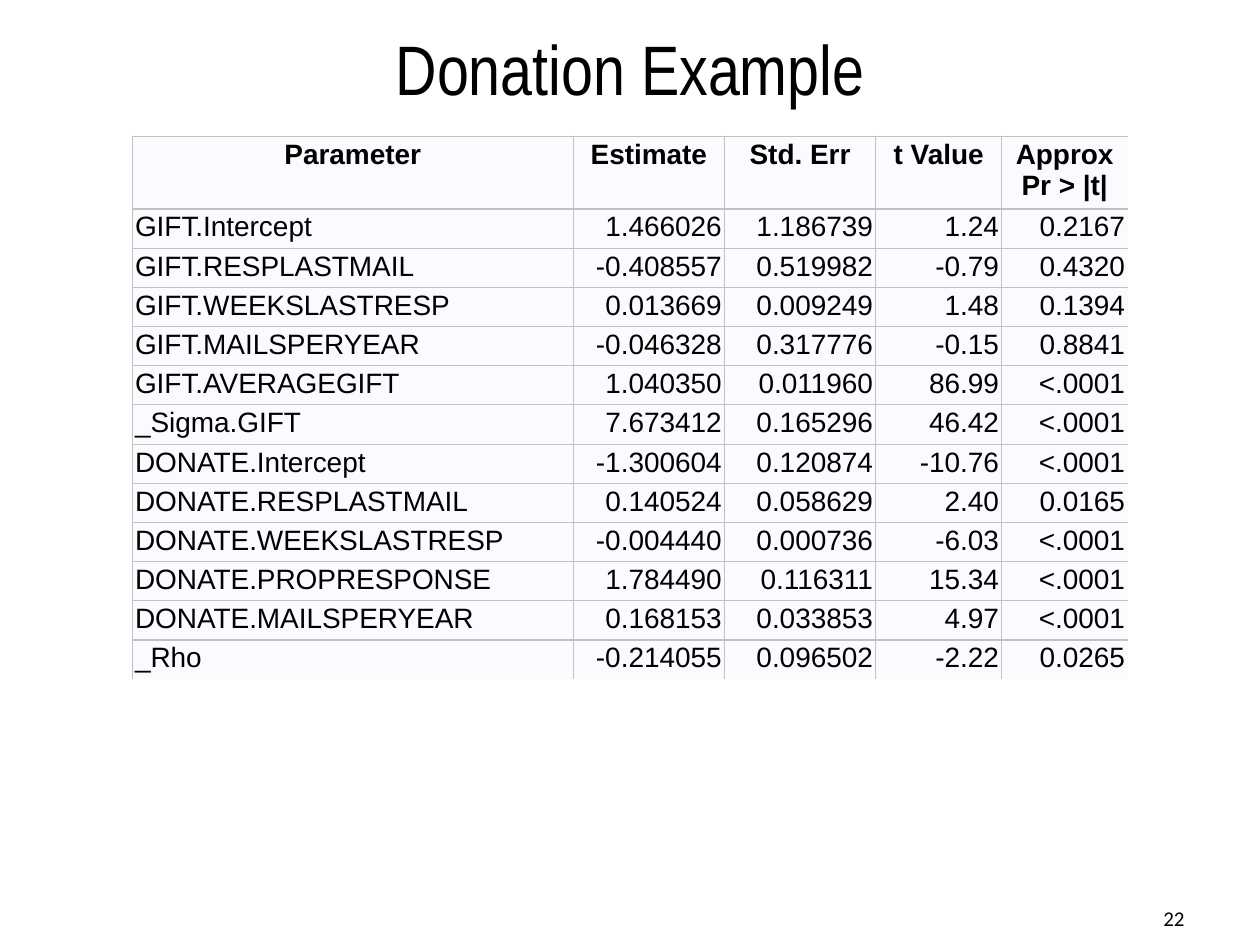
from dataclasses import dataclass

from lxml.etree import SubElement
from pptx import Presentation
from pptx.dml.color import RGBColor
from pptx.enum.text import MSO_ANCHOR, PP_ALIGN
from pptx.oxml.ns import qn
from pptx.util import Pt


@dataclass(frozen=True)
class Theme:
    ink: str = "000000"
    cell: str = "FAFBFE"
    rule: str = "C1C1C1"
    rule_width: float = 0.75
    title_font: str = "Arial Narrow"
    table_font: str = "Arial"
    number_font: str = "Calibri"
    title_size: int = 40
    table_size: int = 16
    number_size: int = 12


THEME = Theme()
INSET = 1.6
HEADER_HEIGHT = 39.4
ROW_HEIGHT = 21.6
COLUMN_WIDTHS = (252, 86.4, 86.4, 72, 72)
HEADINGS = ("Parameter", "Estimate", "Std. Err", "t Value", "Approx\nPr > |t|")
ESTIMATES = (
    ("GIFT.Intercept", "1.466026", "1.186739", "1.24", "0.2167"),
    ("GIFT.RESPLASTMAIL", "-0.408557", "0.519982", "-0.79", "0.4320"),
    ("GIFT.WEEKSLASTRESP", "0.013669", "0.009249", "1.48", "0.1394"),
    ("GIFT.MAILSPERYEAR", "-0.046328", "0.317776", "-0.15", "0.8841"),
    ("GIFT.AVERAGEGIFT", "1.040350", "0.011960", "86.99", "<.0001"),
    ("_Sigma.GIFT", "7.673412", "0.165296", "46.42", "<.0001"),
    ("DONATE.Intercept", "-1.300604", "0.120874", "-10.76", "<.0001"),
    ("DONATE.RESPLASTMAIL", "0.140524", "0.058629", "2.40", "0.0165"),
    ("DONATE.WEEKSLASTRESP", "-0.004440", "0.000736", "-6.03", "<.0001"),
    ("DONATE.PROPRESPONSE", "1.784490", "0.116311", "15.34", "<.0001"),
    ("DONATE.MAILSPERYEAR", "0.168153", "0.033853", "4.97", "<.0001"),
    ("_Rho", "-0.214055", "0.096502", "-2.22", "0.0265"),
)


def write(paragraph, words, font, size, align, bold=False):
    paragraph.text = words
    paragraph.alignment = align
    for run in paragraph.runs:
        run.font.name = font
        run.font.size = Pt(size)
        run.font.bold = bold
        run.font.color.rgb = RGBColor.from_string(THEME.ink)


def add_line_of_text(slide, box, words, font, size, align):
    frame = slide.shapes.add_textbox(*map(Pt, box)).text_frame
    frame.word_wrap = True
    frame.vertical_anchor = MSO_ANCHOR.MIDDLE
    write(frame.paragraphs[0], words, font, size, align)


def add_title(slide, box):
    add_line_of_text(slide, box, "Donation Example", THEME.title_font,
                     THEME.title_size, PP_ALIGN.CENTER)


def add_page_number(slide, box):
    add_line_of_text(slide, box, "22", THEME.number_font,
                     THEME.number_size, PP_ALIGN.RIGHT)


def rule_cell(cell, open_sides):
    properties = cell._tc.get_or_add_tcPr()
    for side in "LRTB":
        line = SubElement(properties, qn(f"a:ln{side}"), w=str(Pt(THEME.rule_width)))
        if side in open_sides:
            SubElement(line, qn("a:noFill"))
        else:
            fill = SubElement(line, qn("a:solidFill"))
            SubElement(fill, qn("a:srgbClr"), val=THEME.rule)


def add_estimates(slide, box):
    rows = (HEADINGS, *ESTIMATES)
    table = slide.shapes.add_table(len(rows), len(HEADINGS), *map(Pt, box)).table
    table.first_row = False
    table.horz_banding = False
    for column, width in zip(table.columns, COLUMN_WIDTHS):
        column.width = Pt(width)
    for r, values in enumerate(rows):
        heading = r == 0
        table.rows[r].height = Pt(HEADER_HEIGHT if heading else ROW_HEIGHT)
        for c, value in enumerate(values):
            cell = table.cell(r, c)
            cell.margin_left = cell.margin_right = Pt(INSET)
            cell.margin_top = cell.margin_bottom = Pt(INSET)
            open_right = "R" if c == len(HEADINGS) - 1 else ""
            open_bottom = "B" if r == len(rows) - 1 else ""
            rule_cell(cell, open_right + open_bottom)
            cell.fill.solid()
            cell.fill.fore_color.rgb = RGBColor.from_string(THEME.cell)
            if heading:
                align = PP_ALIGN.CENTER
            else:
                align = PP_ALIGN.RIGHT if c else PP_ALIGN.LEFT
            write(cell.text_frame.paragraphs[0], value, THEME.table_font,
                  THEME.table_size, align, heading)


def main():
    deck = Presentation()
    deck.slide_width, deck.slide_height = Pt(720), Pt(540)
    slide = deck.slides.add_slide(deck.slide_layouts[6])
    table_height = HEADER_HEIGHT + ROW_HEIGHT * len(ESTIMATES)
    add_title(slide, (36, 0, 648, 77))
    add_estimates(slide, (75.6, 77.8, sum(COLUMN_WIDTHS), table_height))
    add_page_number(slide, (516, 510.5, 168, 28.8))
    deck.save("out.pptx")


if __name__ == "__main__":
    main()
